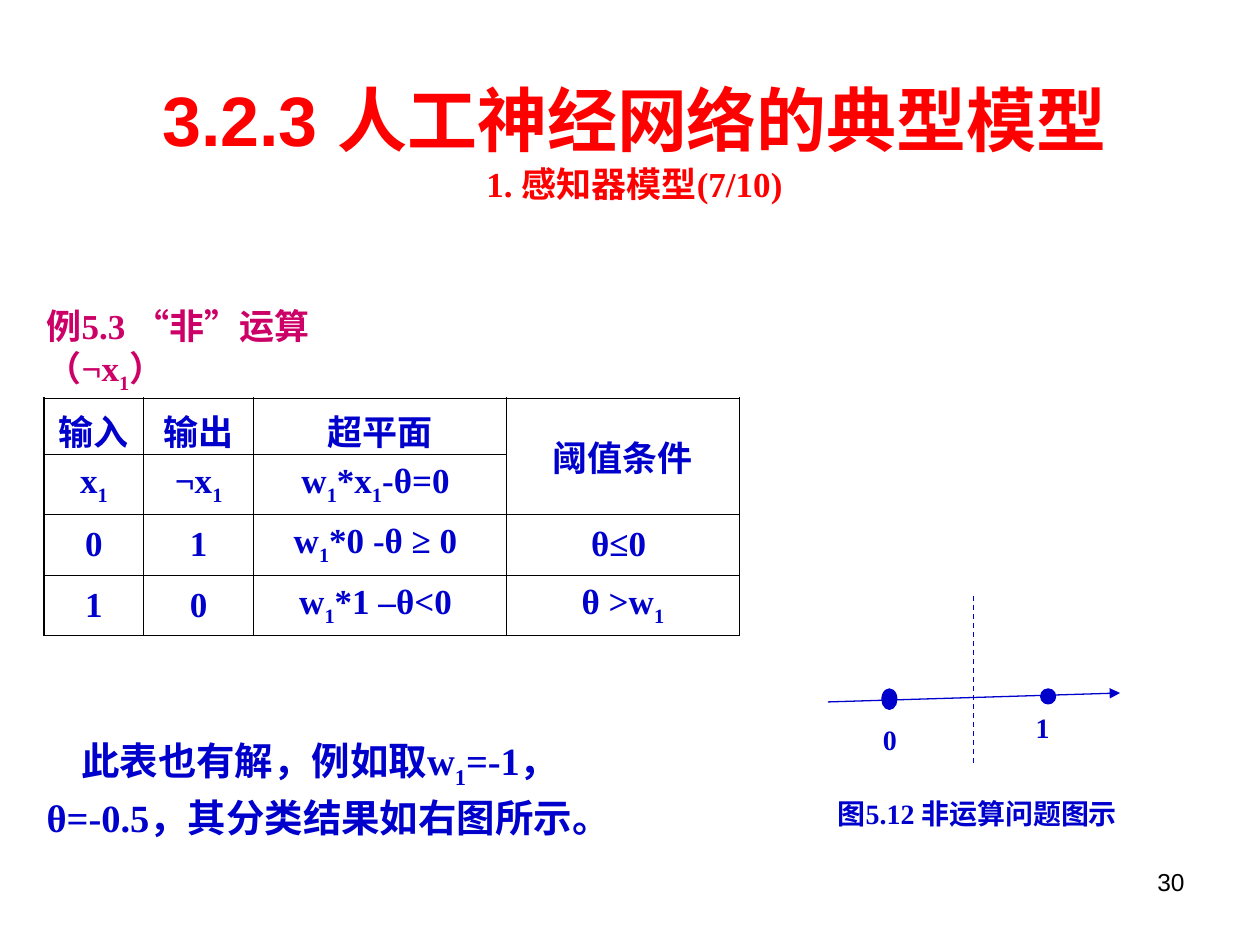
import pptx
import pptx.dml.color
import pptx.enum.dml
import pptx.enum.shapes
import pptx.enum.text
import pptx.oxml
import pptx.oxml.ns
import pptx.util
from pptx.util import Cm

Pt = pptx.util.Pt
Align = pptx.enum.text.PP_ALIGN
Shape = pptx.enum.shapes.MSO_SHAPE
Anchor = pptx.enum.text.MSO_ANCHOR
Dash = pptx.enum.dml.MSO_LINE
BLUE, RED, PINK, BLACK, WHITE = "0000CC", "FF0000", "CC0066", "000000", "FFFFFF"
ROMAN = "Times New Roman"
ROWS = [
    ["输入", "输出", "超平面", "阈值条件"],
    ["x_1", "¬x_1", "w_1*x_1-θ=0 ", ""],
    ["0", "1", "w_1*0 -θ ≥ 0 ", "θ≤0 "],
    ["1", "0", "w_1*1 –θ<0 ", "θ >w_1"],
]


def color(code):
    return pptx.dml.color.RGBColor.from_string(code)


def node(tag):
    return pptx.oxml.parse_xml(f"<a:{tag} {pptx.oxml.ns.nsdecls('a')}/>")


def write(para, text, size, tint=BLUE, face=ROMAN, bold=True, align=Align.LEFT):
    head, *parts = text.split("_")
    if head:
        para.add_run().text = head
    for part in parts:
        low = para.add_run()
        low.text = part[0]
        low.font._element.set("baseline", "-25000")
        if part[1:]:
            para.add_run().text = part[1:]
    para.alignment = align
    font = para.font
    font.size, font.name, font.bold = Pt(size), face, bold
    font.color.rgb = color(tint)


def add_text(slide, box, text, size, **style):
    frame = slide.shapes.add_textbox(*map(Cm, box)).text_frame
    frame.word_wrap = True
    para = frame.paragraphs[0]
    write(para, text, size, **style)
    return para


def add_title(slide):
    title = slide.shapes.title
    title.left, title.top, title.width, title.height = map(Cm, (2.39, 1.42, 20.8, 2.84))
    frame = title.text_frame
    frame.auto_size = pptx.enum.text.MSO_AUTO_SIZE.NONE
    frame.vertical_anchor = Anchor.TOP
    write(frame.paragraphs[0], "3.2.3 人工神经网络的典型模型", 40, RED, "Arial", align=Align.CENTER)
    para = frame.add_paragraph()
    write(para, "1. 感知器模型(7/10)", 20, RED, align=Align.CENTER)
    para.space_before = Pt(1.2)


def add_edges(cell, outer):
    props = cell._tc.get_or_add_tcPr()
    for spot, side in enumerate("LRTB"):
        edge = node(f"ln{side}")
        edge.set("w", str(Pt(1.08 if side in outer else 0.45)))
        fill = node("solidFill")
        tint = node("srgbClr")
        tint.set("val", BLACK)
        fill.append(tint)
        edge.append(fill)
        props.insert(spot, edge)


def add_grid(slide):
    wide, high = (2.01, 2.21, 5.1, 4.7), (1.12, 1.22, 1.22, 1.22)
    box = map(Cm, (0.89, 8.03, sum(wide), sum(high)))
    table = slide.shapes.add_table(len(high), len(wide), *box).table
    table.first_row = table.horz_banding = False
    for col, width in zip(table.columns, wide):
        col.width = Cm(width)
    for row, height in zip(table.rows, high):
        row.height = Cm(height)
    table.cell(0, 3).merge(table.cell(1, 3))
    for r, texts in enumerate(ROWS):
        for c, text in enumerate(texts):
            cell = table.cell(r, c)
            cell.fill.background()
            cell.vertical_anchor = Anchor.MIDDLE
            outer = {0: "T", 3: "B"}.get(r, "") + {0: "L", 3: "R"}.get(c, "")
            add_edges(cell, outer)
            if text:
                write(cell.text_frame.paragraphs[0], text, 20, align=Align.CENTER)


def add_line(group, start, end):
    kind = pptx.enum.shapes.MSO_CONNECTOR.STRAIGHT
    line = group.shapes.add_connector(kind, *map(Cm, start + end))
    line.line.color.rgb = color(BLUE)
    line.line.width = Pt(0.75)
    line._element.spPr.append(node("effectLst"))
    return line.line


def add_dot(group, box):
    dot = group.shapes.add_shape(Shape.OVAL, *map(Cm, box))
    dot.shadow.inherit = False
    dot.fill.solid()
    dot.fill.fore_color.rgb = color(BLUE)
    dot.line.color.rgb = color(BLUE)
    dot.line.width = Pt(0.75)


def add_label(group, box, text):
    label = group.shapes.add_shape(Shape.RECTANGLE, *map(Cm, box))
    label.shadow.inherit = False
    label.fill.solid()
    label.fill.fore_color.rgb = color(WHITE)
    label.line.fill.background()
    frame = label.text_frame
    frame.word_wrap = True
    frame.vertical_anchor = Anchor.TOP
    frame.margin_left = frame.margin_right = Cm(0.05)
    frame.margin_top = frame.margin_bottom = Cm(0.03)
    write(frame.paragraphs[0], text, 16, align=Align.JUSTIFY)


def add_graph(slide):
    group = slide.shapes.add_group_shape()
    axis = add_line(group, (16.69, 14.15), (22.58, 13.97))
    tip = node("tailEnd")
    tip.set("type", "triangle")
    axis._get_or_add_ln().append(tip)
    add_dot(group, (17.78, 13.89, 0.3, 0.41))
    add_dot(group, (20.98, 13.89, 0.3, 0.3))
    add_label(group, (16.84, 16.03, 6.45, 1.09), "图5.12 非运算问题图示")
    add_line(group, (19.63, 12.01), (19.63, 15.39)).dash_style = Dash.DASH
    add_label(group, (17.75, 14.53, 0.71, 0.97), "0")
    add_label(group, (20.83, 14.3, 0.66, 1.07), "1")


def main():
    deck = pptx.Presentation()
    deck.slide_width, deck.slide_height = Cm(25.4), Cm(19.05)
    slide = deck.slides.add_slide(deck.slide_layouts[5])
    add_title(slide)
    add_text(slide, (18.21, 17.35, 5.92, 1.32), "30", 14,
             tint=BLACK, face="Arial", bold=False, align=Align.RIGHT)
    add_text(slide, (0.69, 6.02, 8, 2.08), "例5.3 “非”运算（¬x_1）", 20, tint=PINK)
    add_grid(slide)
    note = "此表也有解，例如取w_1=-1，θ=-0.5，其分类结果如右图所示。"
    para = add_text(slide, (0.69, 14.63, 12.4, 2.44), note, 22)
    para.line_spacing = 1.1
    para._p.get_or_add_pPr().set("indent", str(Cm(0.7)))
    add_graph(slide)
    deck.save("out.pptx")


if __name__ == "__main__":
    main()
